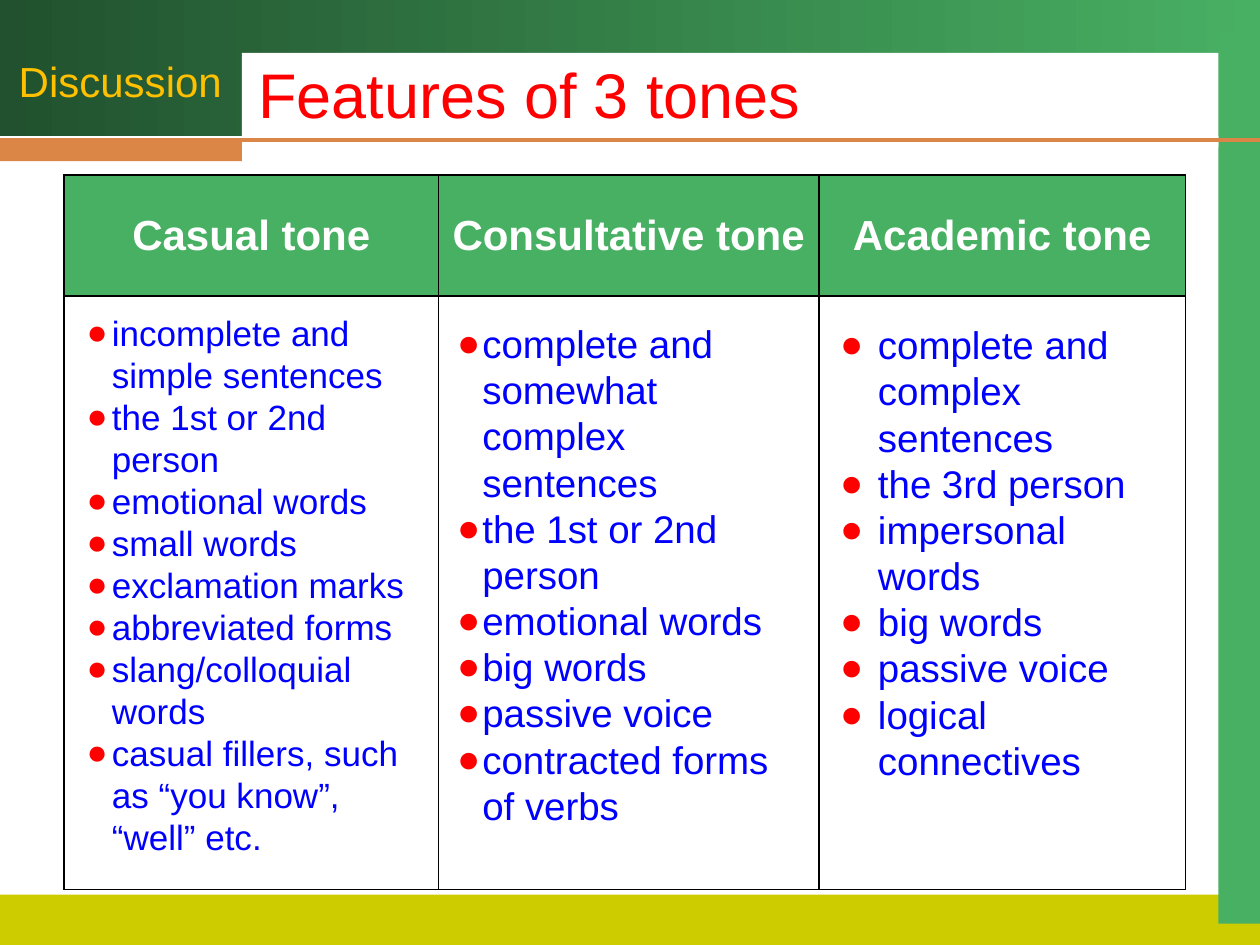
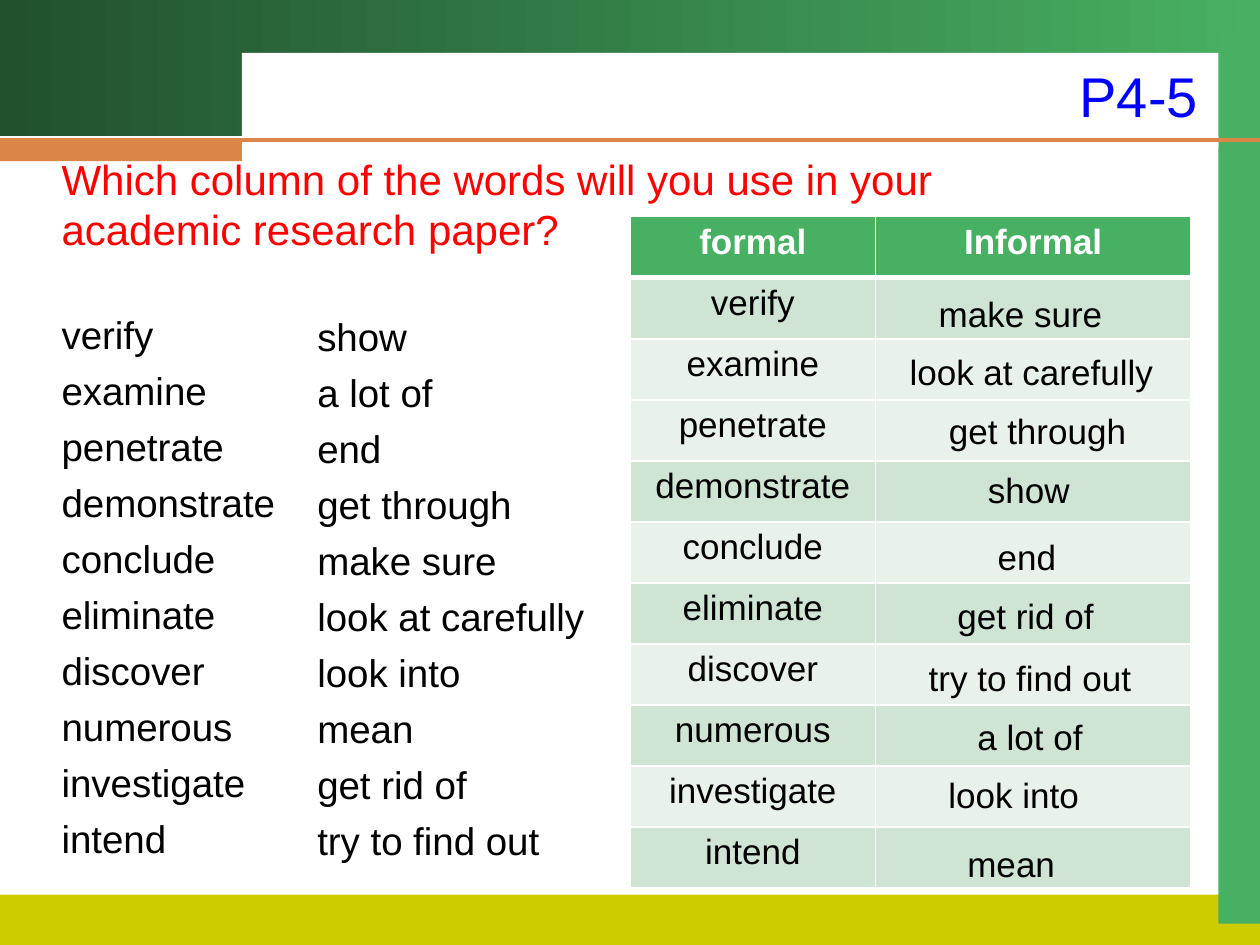
from dataclasses import dataclass
from typing import Any, NamedTuple

from lxml import etree
from pptx import Presentation, util as u
from pptx.dml.color import RGBColor
from pptx.enum import shapes, text
from pptx.oxml import ns

PX = 9144  # EMU per px, 100 px to the inch
FONT = "Arial"

GREEN = RGBColor(0x48, 0xB0, 0x63)
DARK_GREEN = RGBColor(0x21, 0x51, 0x2E)
OLIVE = RGBColor(0xCC, 0xCC, 0x00)
ORANGE = RGBColor(0xDB, 0x86, 0x47)
GOLD = RGBColor(0xFF, 0xC0, 0x00)
RED = RGBColor(0xFF, 0x00, 0x00)
BLUE = RGBColor(0x00, 0x00, 0xFF)
BLACK = RGBColor(0x00, 0x00, 0x00)
WHITE = RGBColor(0xFF, 0xFF, 0xFF)
ROW_DARK = RGBColor(0xCF, 0xE4, 0xD3)
ROW_LIGHT = RGBColor(0xE9, 0xF2, 0xEA)

CENTER = text.PP_ALIGN.CENTER
THIN, THICK = 1, 3  # table borders in points


class Box(NamedTuple):
    x: int
    y: int
    w: int
    h: int

    def emu(self) -> list[u.Emu]:
        return [u.Emu(v * PX) for v in self]


class Band(NamedTuple):
    box: Box
    color: RGBColor


@dataclass(frozen=True)
class TextStyle:
    size: int
    color: RGBColor
    bold: bool = False
    align: Any = None
    line_pt: int = 0
    indent: int = 0  # hanging indent in px, with a bullet
    wrap: bool = True


@dataclass(frozen=True)
class TextBlock:
    box: Box
    lines: list[str]
    style: TextStyle


class Word(NamedTuple):
    formal: str
    informal: str
    box: Box  # place of the informal answer, with room for one line


# Frame shared by the slides
BANDS = [
    Band(Box(0, 710, 1000, 42), OLIVE),
    Band(Box(967, 25, 33, 708), GREEN),
    Band(Box(192, 42, 775, 75), WHITE),
    Band(Box(0, 111, 192, 17), ORANGE),
]

# Tones
HEADER = TextStyle(24, WHITE, bold=True, align=CENTER)
TONE_NAMES = ["Casual tone", "Consultative tone", "Academic tone"]
TONES = [
    TextBlock(Box(59, 242, 276, 477), [
        "incomplete and simple sentences",
        "the 1st or 2nd person",
        "emotional words",
        "small words",
        "exclamation marks",
        "abbreviated forms",
        "slang/colloquial words",
        "casual fillers, such as “you know”, “well” etc.",
    ], TextStyle(20, BLUE, indent=20)),
    TextBlock(Box(353, 249, 285, 413), [
        "complete and somewhat complex sentences",
        "the 1st or 2nd person",
        "emotional words",
        "big words",
        "passive voice",
        "contracted forms of verbs",
    ], TextStyle(22, BLUE, indent=20)),
    TextBlock(Box(657, 250, 276, 377), [
        "complete and complex sentences",
        "the 3rd person",
        "impersonal words",
        "big words",
        "passive voice",
        "logical connectives",
    ], TextStyle(22, BLUE, indent=30)),
]

# Vocabulary
LIST = TextStyle(22, BLACK, line_pt=32)
COLUMN_HEAD = TextStyle(20, WHITE, bold=True, align=CENTER)
WORD = TextStyle(20, BLACK, align=CENTER)
ANSWER = TextStyle(20, BLACK, align=CENTER, wrap=False)
WORDS = [
    Word("verify", "make sure", Box(732, 227, 156, 44)),
    Word("examine", "look at carefully", Box(709, 273, 219, 44)),
    Word("penetrate", "get through", Box(740, 320, 167, 44)),
    Word("demonstrate", "show", Box(771, 367, 91, 44)),
    Word("conclude", "end", Box(779, 420, 72, 44)),
    Word("eliminate", "get rid of", Box(747, 467, 134, 44)),
    Word("discover", "try to find out", Box(724, 516, 187, 44)),
    Word("numerous", "a lot of", Box(763, 563, 109, 44)),
    Word("investigate", "look into", Box(740, 609, 129, 44)),
    Word("intend", "mean", Box(755, 664, 95, 44)),
]
SHUFFLED = ["show", "a lot of", "end", "get through", "make sure",
            "look at carefully", "look into", "mean", "get rid of",
            "try to find out"]
DARK_ROWS = {1, 4, 6, 8, 10}


def set_attrs(target: Any, values: dict[str, Any]) -> None:
    for name, value in values.items():
        setattr(target, name, value)


def add_bullet(p: Any, indent: int) -> None:
    pPr = p._p.get_or_add_pPr()
    for name, value in {"marL": indent, "indent": -indent}.items():
        pPr.set(name, str(value * PX))
    clr = etree.SubElement(pPr, ns.qn("a:buClr"))
    etree.SubElement(clr, ns.qn("a:srgbClr"), val=str(RED))
    etree.SubElement(pPr, ns.qn("a:buFont"), typeface=FONT)
    etree.SubElement(pPr, ns.qn("a:buChar"), char="●")


def write(tf: Any, lines: list[str], style: TextStyle) -> None:
    for i, line in enumerate(lines):
        p = tf.add_paragraph() if i else tf.paragraphs[0]
        if style.indent:
            add_bullet(p, style.indent)
        if style.line_pt:
            p.line_spacing = u.Pt(style.line_pt)
        p.alignment = style.align
        r = p.add_run()
        r.text = line
        set_attrs(r.font, {"name": FONT, "size": u.Pt(style.size),
                           "bold": style.bold})
        r.font.color.rgb = style.color


def add_text(s: Any, block: TextBlock) -> None:
    tf = s.shapes.add_textbox(*block.box.emu()).text_frame
    set_attrs(tf, {"word_wrap": block.style.wrap,
                   "auto_size": text.MSO_AUTO_SIZE.SHAPE_TO_FIT_TEXT})
    write(tf, block.lines, block.style)


def add_rect(s: Any, box: Box) -> Any:
    sp = s.shapes.add_shape(shapes.MSO_SHAPE.RECTANGLE, *box.emu())
    sp.shadow.inherit = False
    sp.line.fill.background()
    return sp


def add_frame(s: Any) -> None:
    top = add_rect(s, Box(0, 0, 1000, 108)).fill
    top.gradient()
    top.gradient_angle = 0
    for stop, position, color in zip(top.gradient_stops, (0, 1),
                                     (DARK_GREEN, GREEN)):
        stop.position = position
        stop.color.rgb = color
    for band in BANDS:
        fill = add_rect(s, band.box).fill
        fill.solid()
        fill.fore_color.rgb = band.color
    rule = s.shapes.add_connector(shapes.MSO_CONNECTOR.STRAIGHT,
                                  *Box(0, 111, 1000, 111).emu())
    rule.line.color.rgb = ORANGE
    rule.line.width = u.Pt(2.25)
    etree.SubElement(rule._element.spPr, ns.qn("a:effectLst"))


def set_borders(cell: Any, color: RGBColor, **widths: int) -> None:
    tcPr = cell._tc.get_or_add_tcPr()
    for side in ("lnL", "lnR", "lnT", "lnB"):
        width = u.Pt(widths.get(side, THIN))
        ln = etree.SubElement(tcPr, ns.qn(f"a:{side}"), w=str(int(width)))
        fill = etree.SubElement(ln, ns.qn("a:solidFill"))
        etree.SubElement(fill, ns.qn("a:srgbClr"), val=str(color))


def fill_cell(cell: Any, color: RGBColor | None) -> None:
    if color is None:
        cell.fill.background()
    else:
        cell.fill.solid()
        cell.fill.fore_color.rgb = color


def add_grid(s: Any, box: Box, rows: int, widths: list[int]) -> Any:
    table = s.shapes.add_table(rows, len(widths), *box.emu()).table
    set_attrs(table, {"first_row": False, "horz_banding": False})
    for column, width in zip(table.columns, widths):
        column.width = u.Emu(width * PX)
    return table


def add_tone_table(s: Any) -> None:
    table = add_grid(s, Box(51, 139, 890, 567), 2, [297, 302, 291])
    for row, height in zip(table.rows, (96, 471)):
        row.height = u.Emu(height * PX)
    for c, name in enumerate(TONE_NAMES):
        head, body = table.cell(0, c), table.cell(1, c)
        for cell, color in ((head, GREEN), (body, None)):
            set_borders(cell, BLACK)
            fill_cell(cell, color)
        head.vertical_anchor = text.MSO_ANCHOR.MIDDLE
        write(head.text_frame, [name], HEADER)


def add_word_table(s: Any) -> None:
    table = add_grid(s, Box(500, 172, 445, 533), len(WORDS) + 1, [195, 250])
    for i, row in enumerate(table.rows):
        color = ROW_DARK if i in DARK_ROWS else ROW_LIGHT
        edges = {0: {"lnB": THICK}, 1: {"lnT": THICK}}.get(i, {})
        for cell in row.cells:
            set_borders(cell, WHITE, **edges)
            fill_cell(cell, color if i else GREEN)
    for c, name in enumerate(("formal", "Informal")):
        write(table.cell(0, c).text_frame, [name], COLUMN_HEAD)
    for i, word in enumerate(WORDS, start=1):
        write(table.cell(i, 0).text_frame, [word.formal], WORD)


def add_tones_slide(s: Any) -> None:
    add_frame(s)
    add_text(s, TextBlock(Box(5, 39, 181, 50), ["Discussion"],
                          TextStyle(24, GOLD, wrap=False)))
    add_text(s, TextBlock(Box(195, 39, 609, 70), ["Features of 3 tones"],
                          TextStyle(36, RED)))
    add_tone_table(s)
    for tone in TONES:
        add_text(s, tone)


def add_words_slide(s: Any) -> None:
    add_frame(s)
    add_text(s, TextBlock(Box(39, 234, 211, 454),
                          [word.formal for word in WORDS], LIST))
    question = ("Which column of the words will you use in your "
                "academic research paper?")
    add_text(s, TextBlock(Box(39, 117, 719, 90), [question],
                          TextStyle(24, RED)))
    add_word_table(s)
    add_text(s, TextBlock(Box(242, 236, 250, 454), SHUFFLED, LIST))
    for word in WORDS:
        add_text(s, TextBlock(word.box, [word.informal], ANSWER))
    add_text(s, TextBlock(Box(847, 44, 114, 64), ["P4-5"],
                          TextStyle(32, BLUE, wrap=False)))


def main() -> None:
    prs = Presentation()
    set_attrs(prs, {"slide_width": u.Emu(1000 * PX),
                    "slide_height": u.Emu(750 * PX)})
    for build in (add_tones_slide, add_words_slide):
        build(prs.slides.add_slide(prs.slide_layouts[6]))
    prs.save("out.pptx")


if __name__ == "__main__":
    main()
